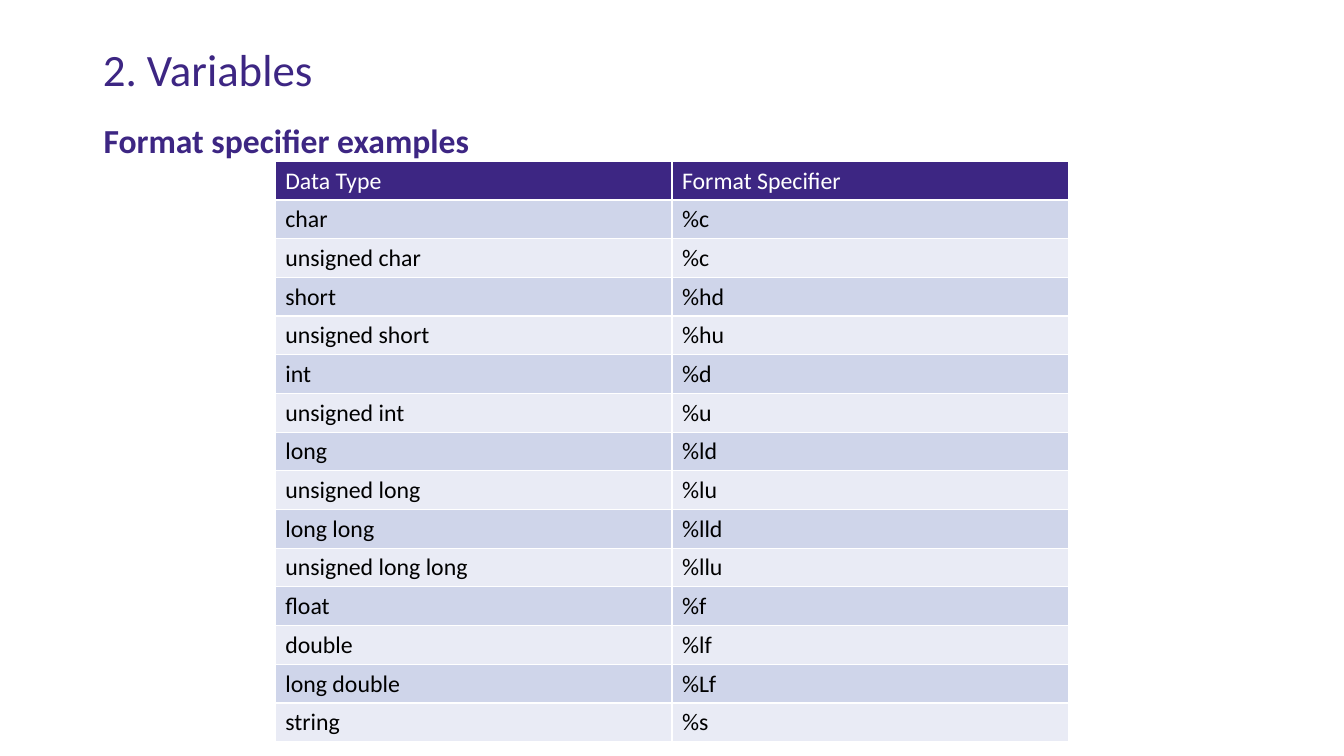
from pptx import Presentation
from pptx.dml.color import RGBColor
from pptx.enum import text
from pptx.util import Inches, Pt

PURPLE = RGBColor(0x3D, 0x26, 0x83)
WHITE = RGBColor(0xFF, 0xFF, 0xFF)
BLACK = RGBColor(0, 0, 0)
BANDS = [RGBColor(0xE9, 0xEB, 0xF5), RGBColor(0xCF, 0xD5, 0xEA)]

SPECIFIERS = [
    ("Data Type", "Format Specifier"),
    ("char", "%c"),
    ("unsigned char", "%c"),
    ("short", "%hd"),
    ("unsigned short", "%hu"),
    ("int", "%d"),
    ("unsigned int", "%u"),
    ("long", "%ld"),
    ("unsigned long", "%lu"),
    ("long long", "%lld"),
    ("unsigned long long", "%llu"),
    ("float", "%f"),
    ("double", "%lf"),
    ("long double", "%Lf"),
    ("string", "%s"),
]


def style(para, size, color, bold=False):
    para.font.name = "Calibri"
    para.font.size = Pt(size)
    para.font.color.rgb = color
    para.font.bold = bold


deck = Presentation()
deck.slide_width, deck.slide_height = Inches(13.33), Inches(7.5)
page = deck.slides.add_slide(deck.slide_layouts[5])

title = page.shapes.title
title.left, title.top = Inches(0.92), Inches(0.4)
title.width, title.height = Inches(11.5), Inches(0.63)
title.text_frame.text = "2. Variables"
title.text_frame.vertical_anchor = text.MSO_ANCHOR.MIDDLE
heading = title.text_frame.paragraphs[0]
heading.alignment = text.PP_ALIGN.LEFT
heading.line_spacing = 0.9
style(heading, 32, PURPLE)

subtitle = page.shapes.add_textbox(Inches(0.93), Inches(1.14), Inches(11.7), Inches(0.91))
subtitle.text_frame.word_wrap = True
subtitle.text_frame.text = "Format specifier examples"
style(subtitle.text_frame.paragraphs[0], 24, PURPLE, bold=True)

table = page.shapes.add_table(
    len(SPECIFIERS), 2, Inches(2.73), Inches(1.6), Inches(7.87), Inches(5.75)
).table
for row, labels in enumerate(SPECIFIERS):
    for column, label in enumerate(labels):
        cell = table.cell(row, column)
        cell.text = label
        cell.fill.solid()
        cell.fill.fore_color.rgb = BANDS[row % 2] if row else PURPLE
        style(cell.text_frame.paragraphs[0], 17, BLACK if row else WHITE)

deck.save("out.pptx")
